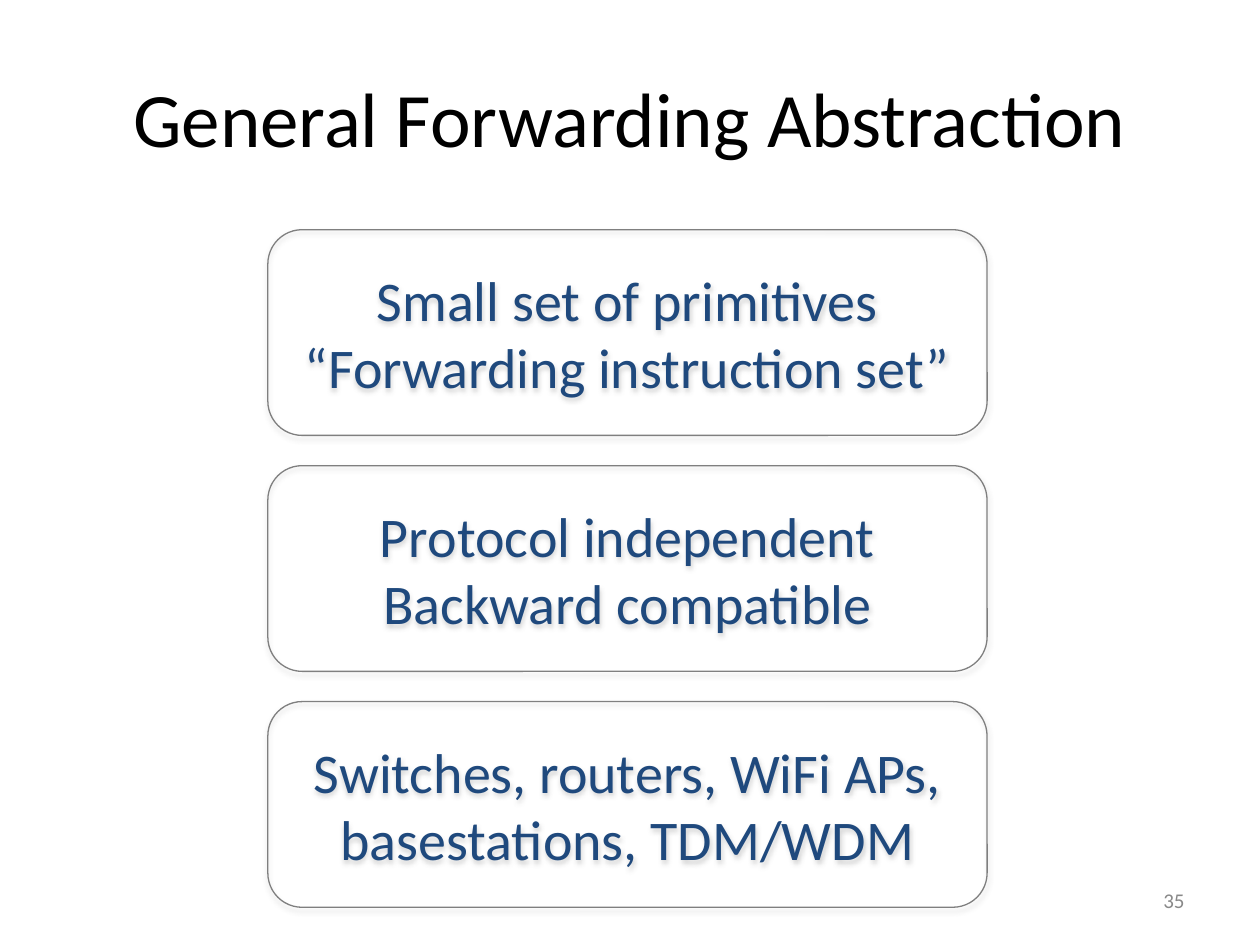
from lxml.etree import SubElement
from pptx import Presentation
from pptx.dml.color import RGBColor
from pptx.enum.shapes import MSO_SHAPE as Shape
from pptx.enum.text import MSO_ANCHOR as Anchor, PP_ALIGN as Align
from pptx.oxml.ns import qn
from pptx.util import Cm, Pt

FONT = "Calibri"
BLACK, NAVY, GREY, PALE_GREY = "000000", "1F497D", "7F7F7F", "898989"
SHADOW = "808080"

PRINCIPLES = [
    ["Small set of primitives", "“Forwarding instruction set”"],
    ["Protocol independent", "Backward compatible"],
    ["Switches, routers, WiFi APs, basestations, TDM/WDM"],
]


def rgb(value):
    return RGBColor.from_string(value)


def write(shape, lines, size, color, align=Align.CENTER):
    frame = shape.text_frame
    frame.word_wrap = True
    frame.vertical_anchor = Anchor.MIDDLE
    frame.text = "\n".join(lines)
    for paragraph in frame.paragraphs:
        paragraph.alignment = align
        font = paragraph.font
        font.name, font.size = FONT, Pt(size)
        font.color.rgb = rgb(color)


def add_label(slide, box, text, **text_format):
    label = slide.shapes.add_textbox(*map(Cm, box))
    write(label, [text], **text_format)


def add_soft_shadow(shape):
    shape.shadow.inherit = False
    effects = shape._element.spPr.find(qn("a:effectLst"))
    shadow = SubElement(effects, qn("a:outerShdw"), blurRad=str(Pt(3.1)),
                        dist=str(Pt(1.8)), dir="5400000", rotWithShape="0")
    tint = SubElement(shadow, qn("a:srgbClr"), val=SHADOW)
    SubElement(tint, qn("a:alpha"), val="35000")


def add_principle(slide, box, lines):
    card = slide.shapes.add_shape(Shape.ROUNDED_RECTANGLE, *map(Cm, box))
    card.fill.background()
    card.line.color.rgb = rgb(GREY)
    card.line.width = Pt(0.75)
    add_soft_shadow(card)
    write(card, lines, size=32, color=NAVY)


def add_principles(slide, box, gap=0.61):
    """Stack the principles in equal rows that fill the box."""
    left, top, width, height = box
    row_height = (height + gap) / len(PRINCIPLES) - gap
    for row, lines in enumerate(PRINCIPLES):
        row_top = top + row * (row_height + gap)
        add_principle(slide, (left, row_top, width, row_height), lines)


def main():
    deck = Presentation()
    deck.slide_width, deck.slide_height = Cm(25.4), Cm(19.05)
    slide = deck.slides.add_slide(deck.slide_layouts[6])
    add_label(slide, (1.27, 0.76, 22.86, 3.18), "General Forwarding Abstraction",
              size=44, color=BLACK)
    add_principles(slide, (5.4, 4.63, 14.5, 13.66))
    add_label(slide, (18.2, 17.65, 5.93, 1.01), "35",
              size=12, color=PALE_GREY, align=Align.RIGHT)
    deck.save("out.pptx")


if __name__ == "__main__":
    main()
